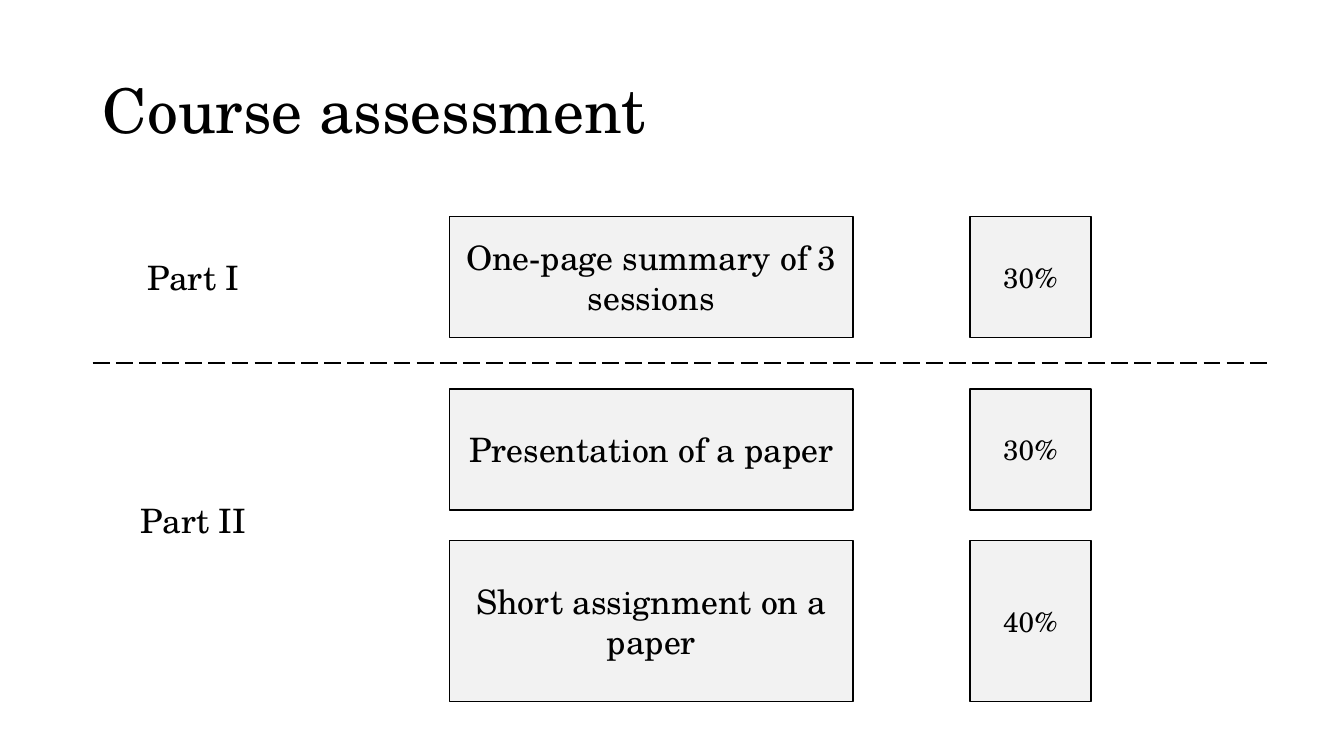
from dataclasses import dataclass

from lxml import etree
from pptx import Presentation
from pptx.dml.color import RGBColor
from pptx.enum.dml import MSO_LINE
from pptx.enum.shapes import MSO_CONNECTOR, MSO_SHAPE
from pptx.enum.text import MSO_ANCHOR, PP_ALIGN
from pptx.oxml.ns import qn
from pptx.shapes.base import BaseShape
from pptx.slide import Slide
from pptx.util import Inches, Pt

RECTANGLE = MSO_SHAPE.RECTANGLE
STRAIGHT = MSO_CONNECTOR.STRAIGHT
LONG_DASH = MSO_LINE.LONG_DASH
MIDDLE = MSO_ANCHOR.MIDDLE
LEFT = PP_ALIGN.LEFT
CENTER = PP_ALIGN.CENTER

BLACK = RGBColor(0x00, 0x00, 0x00)
WHITE = RGBColor(0xFF, 0xFF, 0xFF)
PALE_GREY = RGBColor(0xF2, 0xF2, 0xF2)
FONT = "TeX Gyre Schola"

MARGIN = 0.92
CONTENT_RIGHT = 12.62
TASK_LEFT, TASK_WIDTH = 4.46, 4
WEIGHT_LEFT, WEIGHT_WIDTH = 9.62, 1.2
PART_WIDTH, PART_HEIGHT = 2, 0.5
DIVIDER_TOP = 3.6


@dataclass(frozen=True)
class Assessment:
    task: str
    weight: str
    top: float
    height: float


@dataclass(frozen=True)
class Part:
    name: str
    middle: float


ASSESSMENTS = [
    Assessment("One-page summary of 3 sessions", "30%", 2.15, 1.2),
    Assessment("Presentation of a paper", "30%", 3.86, 1.2),
    Assessment("Short assignment on a paper", "40%", 5.36, 1.6),
]
PARTS = [Part("Part I", 2.75), Part("Part II", 5.16)]


def write_text(shape: BaseShape, text: str, size: int, alignment: PP_ALIGN = CENTER) -> None:
    frame = shape.text_frame
    frame.word_wrap = True
    frame.vertical_anchor = MIDDLE
    paragraph = frame.paragraphs[0]
    paragraph.text = text
    paragraph.alignment = alignment
    paragraph.font.name = FONT
    paragraph.font.size = Pt(size)
    paragraph.font.color.rgb = BLACK


def add_title(slide: Slide, text: str) -> None:
    title = slide.shapes.title
    title.left, title.top = Inches(MARGIN), Inches(0.4)
    title.width, title.height = Inches(11.5), Inches(1.45)
    write_text(title, text, 44, LEFT)
    title.text_frame.paragraphs[0].line_spacing = 0.9


def add_box(slide: Slide, assessment: Assessment, left: float, width: float,
            text: str, size: int) -> None:
    box = slide.shapes.add_shape(
        RECTANGLE, Inches(left), Inches(assessment.top),
        Inches(width), Inches(assessment.height))
    box.shadow.inherit = False
    box.fill.solid()
    box.fill.fore_color.rgb = PALE_GREY
    box.line.color.rgb = BLACK
    box.line.width = Pt(1)
    write_text(box, text, size)


def add_part(slide: Slide, part: Part) -> None:
    label = slide.shapes.add_textbox(
        Inches(MARGIN), Inches(part.middle - PART_HEIGHT / 2),
        Inches(PART_WIDTH), Inches(PART_HEIGHT))
    write_text(label, part.name, 24)


def add_divider(slide: Slide) -> None:
    divider = slide.shapes.add_connector(
        STRAIGHT, Inches(MARGIN), Inches(DIVIDER_TOP),
        Inches(CONTENT_RIGHT), Inches(DIVIDER_TOP))
    divider.line.color.rgb = BLACK
    divider.line.width = Pt(1.5)
    divider.line.dash_style = LONG_DASH
    etree.SubElement(divider._element.spPr, qn("a:effectLst"))


def main() -> None:
    presentation = Presentation()
    presentation.slide_width = Inches(13.33)
    presentation.slide_height = Inches(7.5)
    slide = presentation.slides.add_slide(presentation.slide_layouts.get_by_name("Title Only"))
    slide.background.fill.solid()
    slide.background.fill.fore_color.rgb = WHITE

    add_title(slide, "Course assessment")
    for assessment in ASSESSMENTS:
        add_box(slide, assessment, TASK_LEFT, TASK_WIDTH, assessment.task, 24)
        add_box(slide, assessment, WEIGHT_LEFT, WEIGHT_WIDTH, assessment.weight, 20)
    for part in PARTS:
        add_part(slide, part)
    add_divider(slide)
    presentation.save("out.pptx")


if __name__ == "__main__":
    main()
